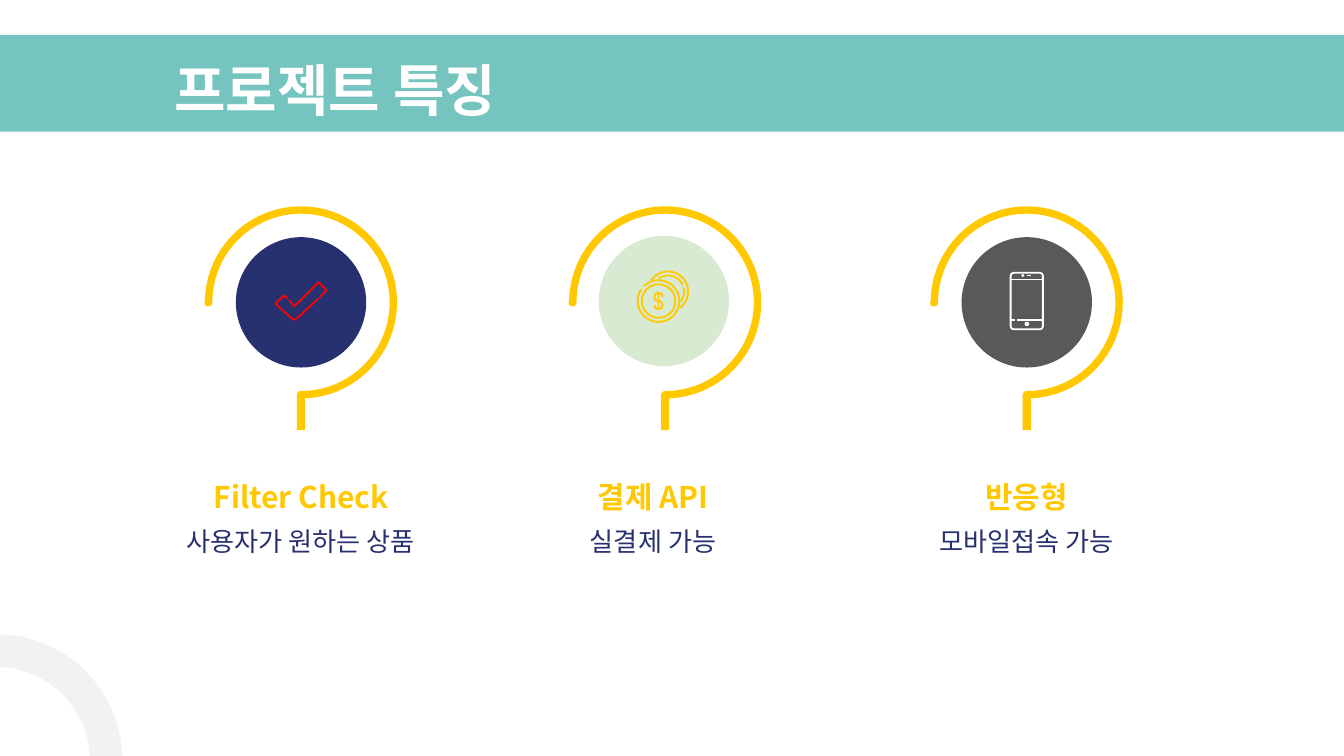
from dataclasses import dataclass
from math import cos, radians, sin

from lxml.etree import SubElement
from pptx import Presentation
from pptx.dml.color import RGBColor
from pptx.enum.shapes import MSO_CONNECTOR, MSO_SHAPE
from pptx.enum.text import MSO_ANCHOR, PP_ALIGN
from pptx.oxml.ns import qn
from pptx.util import Inches, Pt


@dataclass(frozen=True)
class Theme:
    font: str = "Noto Sans CJK KR"
    teal: str = "75C4C0"
    pale: str = "F2F2F2"
    white: str = "FFFFFF"
    yellow: str = "FFC800"
    navy: str = "27316F"
    mint: str = "D9EAD3"
    gray: str = "595959"
    red: str = "FF0000"
    title_size: float = 30
    heading_size: float = 16
    caption_size: float = 14
    stroke: float = 1


THEME = Theme()

# Ring centre, disc centre, text centre, disc colour, heading, caption
FEATURES = [
    (2.24, (2.24, 2.25), 2.24, THEME.navy, "Filter Check", "사용자가 원하는 상품"),
    (4.95, (4.94, 2.24), 4.86, THEME.mint, "결제 API", "실결제 가능"),
    (7.64, (7.64, 2.25), 7.64, THEME.gray, "반응형", "모바일접속 가능"),
]
RING_Y = 2.25


def arc(x, y, radius, start, end):
    """Points along an arc; degrees run clockwise from the right."""
    steps = max(4, round(abs(end - start) / 5))
    angles = [radians(start + (end - start) * i / steps) for i in range(steps + 1)]
    return [(x + radius * cos(a), y + radius * sin(a)) for a in angles]


def paint(shape, fill=None, line=None):
    shape.shadow.inherit = False
    if fill:
        shape.fill.solid()
        shape.fill.fore_color.rgb = RGBColor.from_string(fill)
    else:
        shape.fill.background()
    if line:
        shape.line.color.rgb = RGBColor.from_string(line)
        shape.line.width = Pt(THEME.stroke)
    else:
        shape.line.fill.background()
    return shape


def add_preset(page, kind, left, top, width, height, **colors):
    box = Inches(left), Inches(top), Inches(width), Inches(height)
    return paint(page.shapes.add_shape(kind, *box), **colors)


def add_circle(page, x, y, radius, **colors):
    size = 2 * radius
    return add_preset(page, MSO_SHAPE.OVAL, x - radius, y - radius, size, size, **colors)


def add_outline(page, points, close=False, **colors):
    corners = [(Inches(x), Inches(y)) for x, y in points]
    builder = page.shapes.build_freeform(*corners[0])
    builder.add_line_segments(corners[1:], close=close)
    return paint(builder.convert_to_shape(), **colors)


def add_line(page, x1, y1, x2, y2, color):
    ends = [Inches(value) for value in (x1, y1, x2, y2)]
    line = page.shapes.add_connector(MSO_CONNECTOR.STRAIGHT, *ends)
    line.line.color.rgb = RGBColor.from_string(color)
    line.line.width = Pt(THEME.stroke)
    SubElement(line._element.spPr, qn("a:effectLst"))


def add_text(page, text, left, top, width, height, *, size, color, bold=False,
             align=PP_ALIGN.CENTER):
    box = page.shapes.add_textbox(Inches(left), Inches(top), Inches(width), Inches(height))
    frame = box.text_frame
    frame.word_wrap = True
    frame.vertical_anchor = MSO_ANCHOR.TOP
    frame.margin_left = frame.margin_right = Inches(0.1)
    frame.margin_top = frame.margin_bottom = Inches(0.1)
    para = frame.paragraphs[0]
    para.alignment = align
    span = para.add_run()
    span.text = text
    span.font.size = Pt(size)
    span.font.bold = bold
    span.font.name = THEME.font
    span.font.color.rgb = RGBColor.from_string(color)
    SubElement(span.font._element, qn("a:ea"), typeface=THEME.font)


def add_ring(page, x):
    """Three-quarter ring with a rounded start and a stem below."""
    half = 0.03
    points = arc(x, RING_Y, 0.715, 180, 447.6)
    points += [(x + half, 3.2), (x - half, 3.2), (x - half, 2.94)]
    points += arc(x, 2.94, half, 180, 270)
    points += arc(x, RING_Y, 0.66, 450, 180)
    points += arc(x - 0.69, RING_Y, half, 0, 180)
    add_outline(page, points, close=True, fill=THEME.yellow)


def add_feature(page, ring_x, disc, text_x, color, heading, caption):
    add_circle(page, *disc, 0.485, fill=color)
    add_ring(page, ring_x)
    left = text_x - 1.23
    add_text(page, heading, left, 3.46, 2.46, 0.43,
             size=THEME.heading_size, color=THEME.yellow, bold=True)
    add_text(page, caption, left, 3.81, 2.46, 0.98,
             size=THEME.caption_size, color=THEME.navy)


def add_check_icon(page):
    lower = [(2.14, 2.22), (2.11, 2.2), (2.05, 2.26), (2.16, 2.36),
             (2.19, 2.38), (2.22, 2.36), (2.37, 2.22)]
    upper = [(2.15, 2.23), (2.19, 2.28), (2.37, 2.1), (2.43, 2.16), (2.38, 2.21)]
    for points in (lower, upper):
        add_outline(page, points, line=THEME.red)


def add_coins_icon(page):
    front, back = (4.9, 2.24), (4.97, 2.17)
    add_circle(page, *front, 0.125, line=THEME.yellow)
    strokes = [
        arc(*front, 0.155, 225, 575),
        arc(*back, 0.15, 215, 412),
        arc(*back, 0.12, 234, 336),
        arc(*back, 0.12, 345, 397),
        # Dollar sign
        arc(4.9, 2.21, 0.03, 360, 90) + arc(4.9, 2.27, 0.03, 270, 540),
    ]
    for points in strokes:
        add_outline(page, points, line=THEME.yellow)
    add_line(page, 4.9, 2.17, 4.9, 2.31, THEME.yellow)


def add_phone_icon(page):
    add_preset(page, MSO_SHAPE.ROUNDED_RECTANGLE, 7.52, 2.03, 0.24, 0.42,
               line=THEME.white).adjustments[0] = 0.1
    # Screen edges and speaker
    for x1, x2, y in [(7.52, 7.76, 2.08), (7.52, 7.55, 2.38), (7.57, 7.76, 2.38),
                      (7.64, 7.67, 2.05)]:
        add_line(page, x1, y, x2, y, THEME.white)
    # Sensor and button
    add_circle(page, 7.61, 2.05, 0.01, fill=THEME.white)
    add_circle(page, 7.64, 2.41, 0.01, line=THEME.white)


def main():
    deck = Presentation()
    deck.slide_width, deck.slide_height = Inches(10), Inches(10 * 9 / 16)
    page = deck.slides.add_slide(deck.slide_layouts[6])

    # Title band and corner arc
    add_preset(page, MSO_SHAPE.RECTANGLE, -0.17, 0.26, 10.34, 0.72, fill=THEME.teal)
    corner = add_preset(page, MSO_SHAPE.BLOCK_ARC, -0.96, 4.72, 1.87, 1.87, fill=THEME.pale)
    for index, value in enumerate((161.65, 1.04, 0.13)):
        corner.adjustments[index] = value
    add_text(page, "프로젝트 특징", 1.2, 0.31, 8.46, 0.63, size=THEME.title_size,
             color=THEME.white, bold=True, align=PP_ALIGN.LEFT)

    # Features and their icons
    for feature in FEATURES:
        add_feature(page, *feature)
    add_check_icon(page)
    add_coins_icon(page)
    add_phone_icon(page)

    deck.save("out.pptx")


if __name__ == "__main__":
    main()
